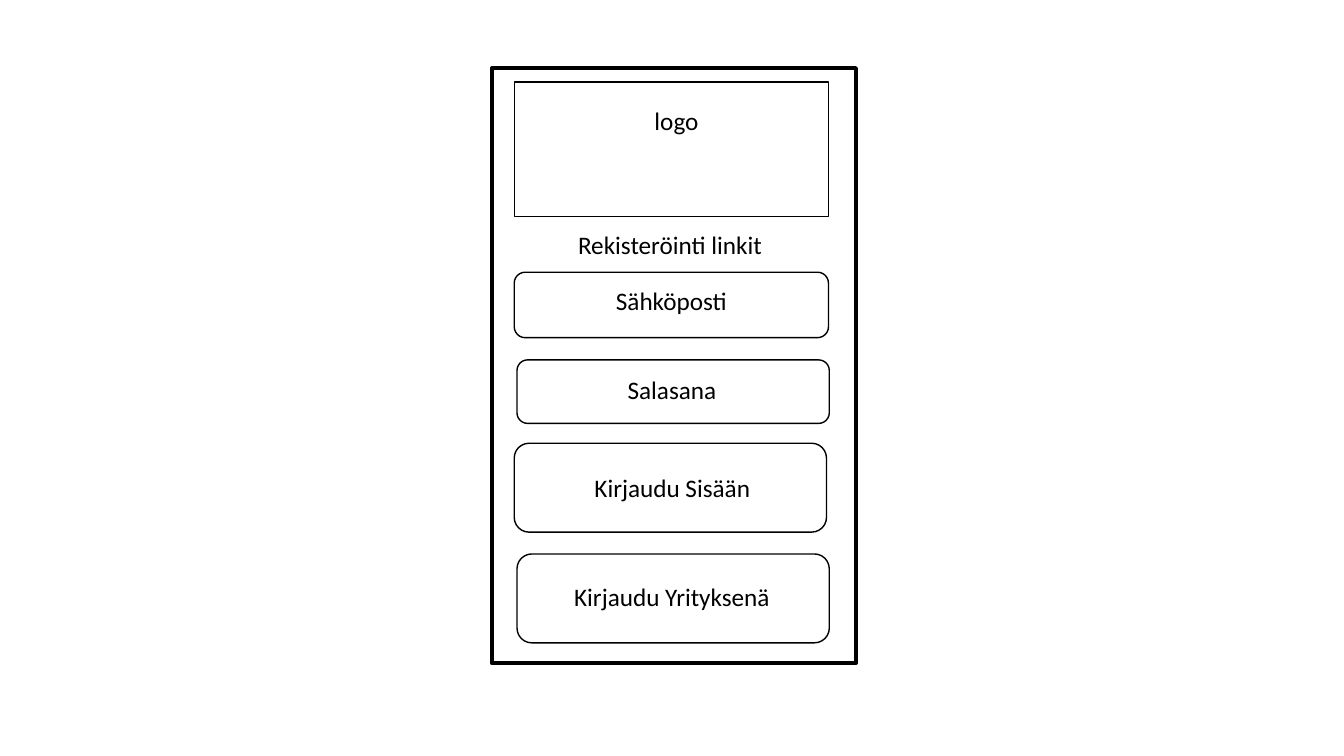
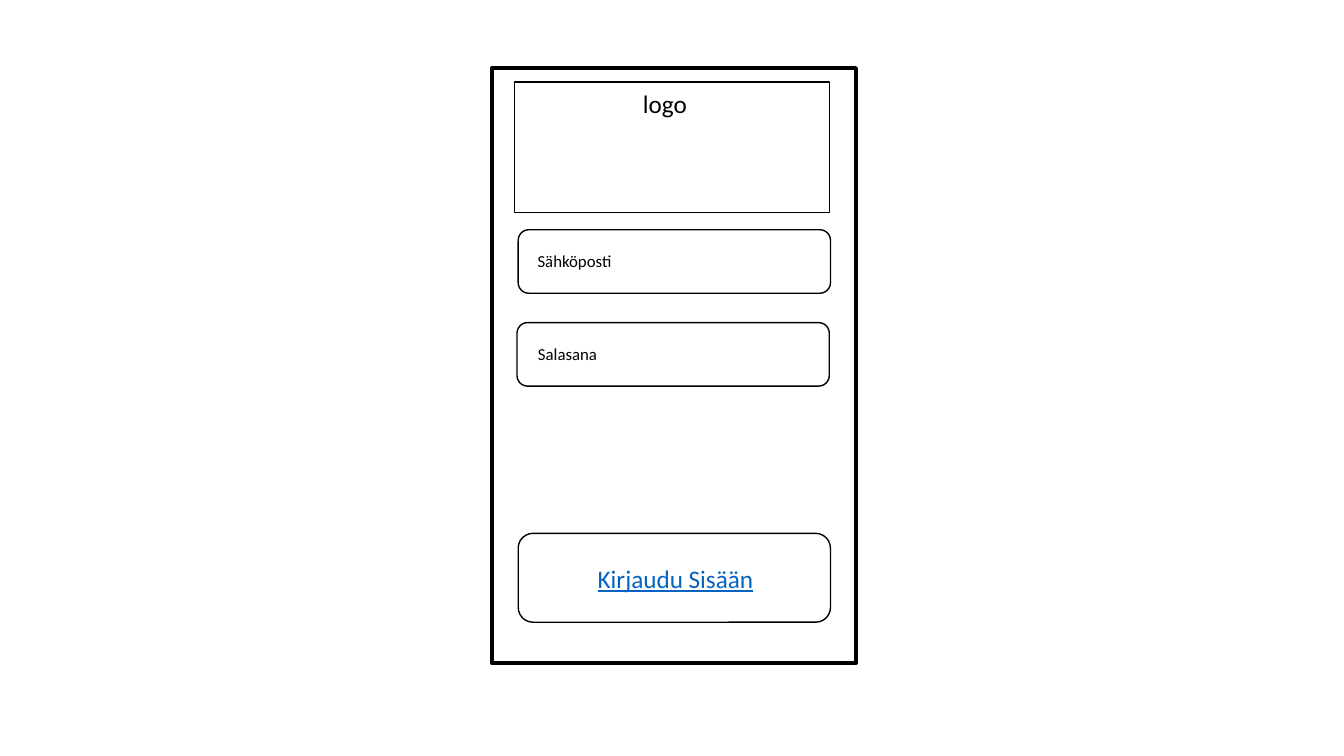
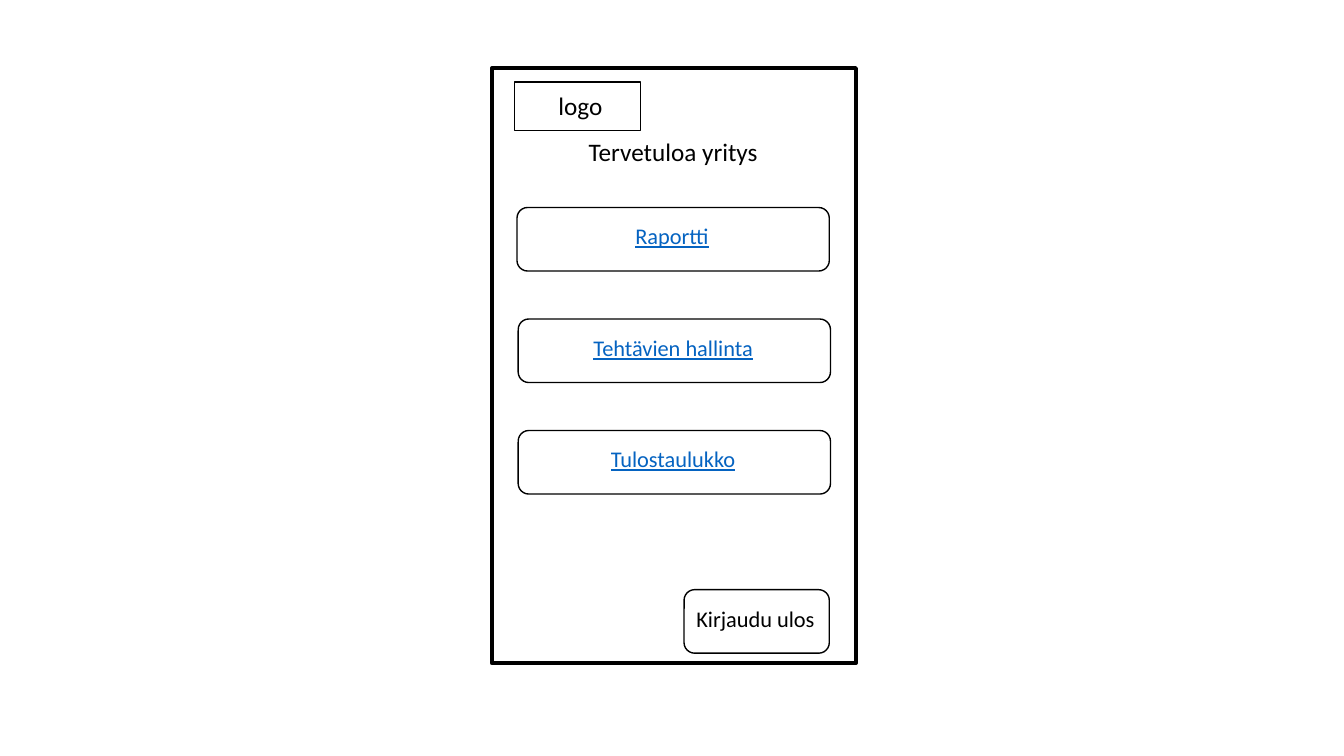
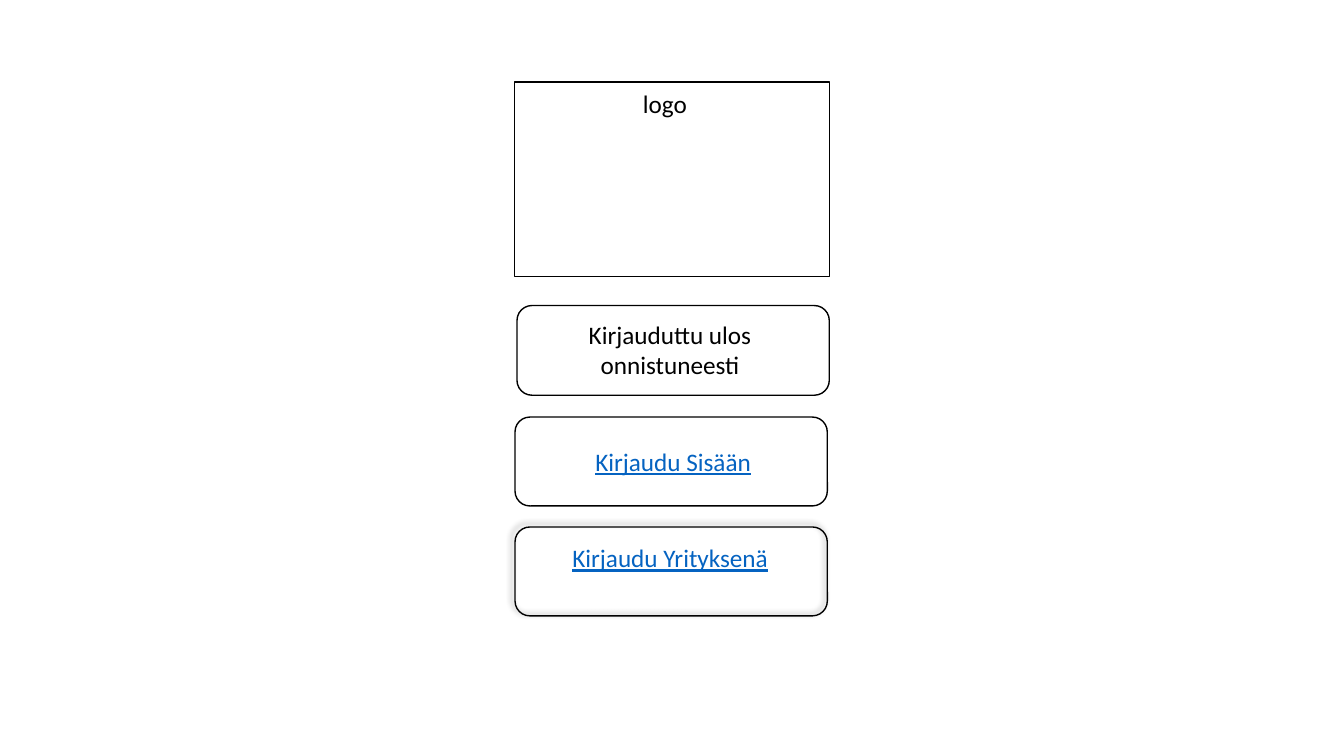
"""Build four phone wireframes for signing in, the company menu and signing out."""
from pptx import Presentation
from pptx.dml.color import RGBColor
from pptx.enum.shapes import MSO_SHAPE as Preset
from pptx.enum.text import MSO_ANCHOR as Anchor, MSO_AUTO_SIZE as AutoSize, PP_ALIGN as Align
from pptx.oxml import parse_xml
from pptx.oxml.ns import nsdecls
from pptx.util import Cm, Pt

COLOURS = {"ink": "000000", "link": "0563C1"}
FONT = "Calibri"
INSET = 0.25
CORNER_SHARE = 0.05
COLUMN_WIDTH = 7.87
FIELD, BUTTON = 1.6, 2.24
PHONE = (12.4, 1.72, 9.17, 14.99)
LOGO_LEFT, LOGO_TOP = 12.96, 2.07
MENU_TOP, MENU_STEP = 5.23, 2.81
MENU = [("Raportti", 13.03), ("Tehtävien hallinta", 13.06), ("Tulostaulukko", 13.06)]

SCREENS = [
    {
        "phone": True,
        "heading": ("Rekisteröinti linkit", 12.95, 5.64),
        "logo": (7.92, 3.38, 0.13, 0.46),
        "controls": [
            {"text": "Sähköposti", "box": (12.96, 6.86, 7.92, 1.65), "drop": 0.2},
            {"text": "Salasana", "box": (13.03, 9.07, COLUMN_WIDTH, FIELD), "shift": -0.03, "drop": 0.23},
            {"text": "Kirjaudu Sisään", "box": (12.96, 11.17, COLUMN_WIDTH, BUTTON), "shift": 0.05, "drop": 0.61},
            {"text": "Kirjaudu Yrityksenä", "box": (13.03, 13.96, COLUMN_WIDTH, BUTTON), "shift": -0.03, "drop": 0.56},
        ],
    },
    {
        "phone": True,
        "logo": (7.95, 3.28, -0.18, 0.03),
        "controls": [
            {"text": "Sähköposti", "box": (13.06, 5.79, COLUMN_WIDTH, FIELD), "shift": 0.12, "drop": 0.4,
             "size": 12, "align": Align.LEFT},
            {"text": "Salasana", "box": (13.03, 8.13, COLUMN_WIDTH, FIELD), "shift": 0.14, "drop": 0.41,
             "size": 12, "align": Align.LEFT},
            {"text": "Kirjaudu Sisään", "box": (13.06, 13.44, COLUMN_WIDTH, BUTTON), "shift": 0.03, "drop": 0.62,
             "link": True},
        ],
    },
    {
        "phone": True,
        "heading": ("Tervetuloa yritys", 13.03, 3.3),
        "logo": (3.18, 1.22, 0.08, 0.08),
        "controls": [
            {"text": text, "box": (left, MENU_TOP + row * MENU_STEP, COLUMN_WIDTH, FIELD),
             "shift": -0.03, "drop": 0.25, "size": 16, "link": True}
            for row, (text, left) in enumerate(MENU)
        ] + [{"text": "Kirjaudu ulos", "box": (17.24, 14.86, 3.66, FIELD), "shift": -0.03, "drop": 0.26, "size": 16}],
    },
    {
        "logo": (7.95, 4.9, -0.18, 0.03),
        "controls": [
            {"text": "Kirjauduttu ulos onnistuneesti", "box": (13.03, 7.7, COLUMN_WIDTH, 2.26),
             "shift": -0.08, "drop": 0.22},
            {"text": "Kirjaudu Sisään", "box": (12.98, 10.51, COLUMN_WIDTH, BUTTON), "shift": 0.05, "drop": 0.61,
             "link": True},
            {"box": (12.98, 13.28, COLUMN_WIDTH, BUTTON), "shadow": True},
        ],
        "label": {"text": "Kirjaudu Yrityksenä", "box": (13.26, 13.54, 7.26, 1.02), "link": True},
    },
]


def place(box):
    return [Cm(length) for length in box]


def write(shape, text, shift=0, drop=0, corner=0, size=18, align=Align.CENTER, link=False):
    frame = shape.text_frame
    frame.text = text
    frame.word_wrap = True
    frame.auto_size = AutoSize.NONE
    frame.vertical_anchor = Anchor.TOP
    frame.margin_left = Cm(INSET - corner + max(0, 2 * shift))
    frame.margin_right = Cm(INSET - corner + max(0, -2 * shift))
    frame.margin_top = Cm(0.13 - corner + drop)
    frame.margin_bottom = 0
    for para in frame.paragraphs:
        para.alignment = align
        for span in para.runs:
            span.font.name = FONT
            span.font.size = Pt(size)
            span.font.underline = link
            span.font.color.rgb = RGBColor.from_string(COLOURS["link" if link else "ink"])


def outline(page, preset, box, weight=1):
    shape = page.shapes.add_shape(preset, *place(box))
    shape.shadow.inherit = False
    shape.fill.background()
    shape.line.width = Pt(weight)
    shape.line.color.rgb = RGBColor.from_string(COLOURS["ink"])
    return shape


def cast_shadow(shape):
    properties = shape.element.spPr
    properties.remove(properties.find("{*}effectLst"))
    properties.append(parse_xml(
        f'<a:effectLst {nsdecls("a")}><a:outerShdw blurRad="50800" dist="38100" dir="13500000" '
        f'algn="br" rotWithShape="0"><a:srgbClr val="{COLOURS["ink"]}"><a:alpha val="40000"/>'
        '</a:srgbClr></a:outerShdw></a:effectLst>'))


def add_control(page, box, text="", shadow=False, **style):
    shape = outline(page, Preset.ROUNDED_RECTANGLE, box)
    if text:
        write(shape, text, corner=CORNER_SHARE * box[3], **style)
    if shadow:
        cast_shadow(shape)


def add_label(page, box, text, **style):
    write(page.shapes.add_textbox(*place(box)), text, **style)


def add_heading(page, text, left, top):
    title = page.shapes.title
    title.left, title.top, title.width, title.height = place((left, top, COLUMN_WIDTH, 1.02))
    write(title, text)


def add_screen(deck, screen):
    layout = "Title Only" if "heading" in screen else "Blank"
    page = deck.slides.add_slide(deck.slide_layouts.get_by_name(layout))
    if "heading" in screen:
        add_heading(page, *screen["heading"])
    if screen.get("phone"):
        outline(page, Preset.RECTANGLE, PHONE, 3)
    width, height, shift, drop = screen["logo"]
    write(outline(page, Preset.RECTANGLE, (LOGO_LEFT, LOGO_TOP, width, height)), "logo", shift, drop)
    for control in screen["controls"]:
        add_control(page, **control)
    if "label" in screen:
        add_label(page, **screen["label"])


deck = Presentation()
deck.slide_width, deck.slide_height = Cm(33.87), Cm(19.05)
for screen in SCREENS:
    add_screen(deck, screen)
deck.save("out.pptx")
